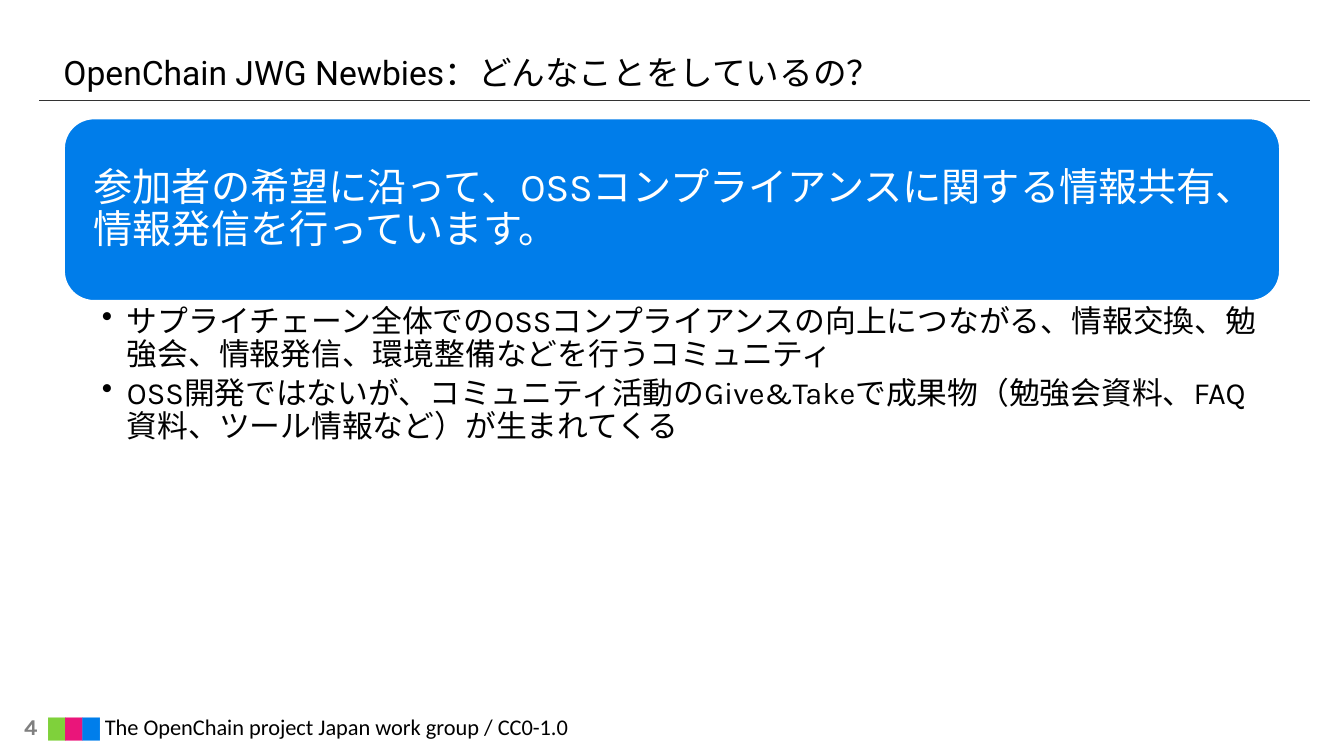
from lxml import etree
from pptx import Presentation
from pptx.dml.color import RGBColor
from pptx.enum.shapes import MSO_CONNECTOR, MSO_SHAPE
from pptx.enum.text import MSO_ANCHOR as ANCHOR, PP_ALIGN as ALIGN
from pptx.oxml.ns import qn
from pptx.util import Inches, Pt

BLACK = RGBColor(0x00, 0x00, 0x00)
WHITE = RGBColor(0xFF, 0xFF, 0xFF)
GRAY = RGBColor(0x80, 0x80, 0x80)
RULE = RGBColor(0x33, 0x33, 0x33)
GREEN = RGBColor(0x7F, 0xD1, 0x3B)
PINK = RGBColor(0xEA, 0x15, 0x7A)
BLUE = RGBColor(0x00, 0x7E, 0xEB)
PANEL = RGBColor(0x00, 0x7D, 0xEA)

LEFT, WIDTH = 0.63, 12.07
FOOT_TOP, FOOT_HEIGHT = 7.01, 0.39


class SlideBuilder:
    heading_font = "Roboto"
    body_font = "Karla"
    footer_font = "Calibri"

    def __init__(self, prs):
        self.slide = prs.slides.add_slide(prs.slide_layouts[6])

    def frame(self, sp, anchor, insets=(0, 0, 0, 0)):
        """Set up the text frame; insets are left, top, right, bottom."""
        tf = sp.text_frame
        tf.word_wrap = True
        tf.vertical_anchor = anchor
        (tf.margin_left, tf.margin_top,
         tf.margin_right, tf.margin_bottom) = map(Inches, insets)
        return tf

    def run(self, p, text, size, font, color, bold=False):
        r = p.add_run()
        r.text = text
        r.font.size = Pt(size)
        r.font.name = font
        r.font.bold = bold
        r.font.color.rgb = color

    def text(self, box, runs, size, font, anchor):
        """Add one line of text; runs are (text, colour) pairs."""
        sp = self.slide.shapes.add_textbox(*map(Inches, box))
        p = self.frame(sp, anchor).paragraphs[0]
        for text, color in runs:
            self.run(p, text, size, font, color, bold=color == GRAY)

    def rule(self, x1, x2, y):
        line = self.slide.shapes.add_connector(
            MSO_CONNECTOR.STRAIGHT, Inches(x1), Inches(y), Inches(x2), Inches(y))
        line.line.color.rgb = RULE
        line.line.width = Pt(0.25)
        etree.SubElement(line._element.spPr, qn("a:effectLst"))

    def panel(self, box, text):
        sp = self.slide.shapes.add_shape(
            MSO_SHAPE.ROUNDED_RECTANGLE, *map(Inches, box))
        sp.shadow.inherit = False
        sp.fill.solid()
        sp.fill.fore_color.rgb = PANEL
        sp.line.color.rgb = WHITE
        sp.line.width = Pt(2)
        p = self.frame(sp, ANCHOR.MIDDLE, (0.21, 0.12, 0.21, 0.12)).paragraphs[0]
        p.alignment = ALIGN.LEFT
        p.line_spacing = 0.9
        self.run(p, text, 28, self.body_font, WHITE)

    def bullets(self, box, items):
        sp = self.slide.shapes.add_textbox(*map(Inches, box))
        tf = self.frame(sp, ANCHOR.TOP, (0.38, 0.04, 0.22, 0.04))
        for i, item in enumerate(items):
            p = tf.add_paragraph() if i else tf.paragraphs[0]
            p.line_spacing = 0.9
            p.space_after = Pt(4)
            pPr = p._p.get_or_add_pPr()
            pPr.set("marL", str(Inches(0.25)))
            pPr.set("indent", str(-Inches(0.25)))
            etree.SubElement(pPr, qn("a:buChar"), char="•")
            self.run(p, item, 22, self.body_font, BLACK)


def main():
    prs = Presentation()
    prs.slide_width, prs.slide_height = Inches(13.33), Inches(7.5)
    s = SlideBuilder(prs)

    s.rule(0.39, 12.99, 0.99)
    s.text((0.24, FOOT_TOP, 0.22, FOOT_HEIGHT), [("4", GRAY)],
           16, s.body_font, ANCHOR.MIDDLE)
    s.text((0.48, FOOT_TOP, 6.84, FOOT_HEIGHT),
           [("▇", GREEN), ("▇", PINK), ("▇ ", BLUE),
            ("The OpenChain project Japan work group / CC0-1.0", BLACK)],
           16, s.footer_font, ANCHOR.MIDDLE)
    s.text((LEFT, 0.05, WIDTH, 0.87),
           [("OpenChain JWG Newbies：どんなことをしているの？", BLACK)],
           24, s.heading_font, ANCHOR.BOTTOM)
    s.panel((LEFT, 1.17, WIDTH, 1.82),
            "参加者の希望に沿って、OSSコンプライアンスに関する情報共有、情報発信を行っています。")
    s.bullets((LEFT, 2.99, WIDTH, 3.74), [
        "サプライチェーン全体でのOSSコンプライアンスの向上につながる、情報交換、勉強会、情報発信、環境整備などを行うコミュニティ",
        "OSS開発ではないが、コミュニティ活動のGive&Takeで成果物（勉強会資料、FAQ資料、ツール情報など）が生まれてくる",
    ])
    prs.save("out.pptx")


if __name__ == "__main__":
    main()
